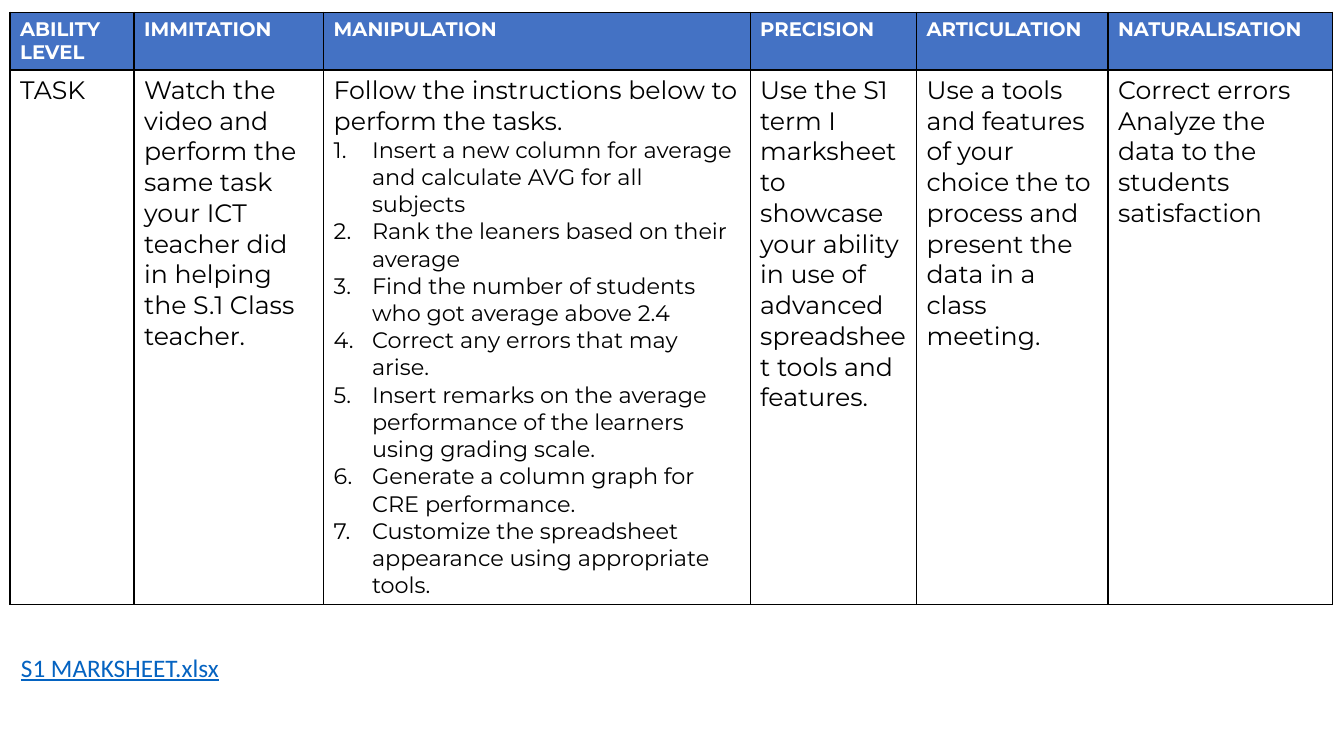
from lxml import etree
from pptx import Presentation
from pptx.dml.color import RGBColor
from pptx.enum import text
from pptx.oxml import ns
from pptx.util import Inches, Pt

BLACK, WHITE, BLUE, LINK = "000000", "FFFFFF", "4472C4", "0563C1"

COLUMNS = [
    (1.23, "ABILITY LEVEL", "TASK"),
    (1.88, "IMMITATION",
     "Watch the video and perform the same task your ICT teacher did in "
     "helping the S.1 Class teacher."),
    (4.23, "MANIPULATION", "Follow the instructions below to perform the tasks."),
    (1.65, "PRECISION",
     "Use the S1 term I marksheet to showcase your ability in use of "
     "advanced spreadsheet tools and features."),
    (1.9, "ARTICULATION",
     "Use a tools and features of your choice the to process and present "
     "the data in a class meeting."),
    (2.23, "NATURALISATION",
     "Correct errors Analyze the data to the students satisfaction"),
]
ROW_HEIGHTS = [0.57, 5.23]
MANIPULATION_COLUMN = 2
INSTRUCTIONS = [
    "Insert a new column for average and calculate AVG for all subjects",
    "Rank the leaners based on their average",
    "Find the number of students who got average above 2.4",
    "Correct any errors that may arise.",
    "Insert remarks on the average performance of the learners using grading scale.",
    "Generate a column graph for CRE performance.",
    "Customize the spreadsheet appearance using appropriate tools.",
]


def color(value):
    """Turn a hex string into a colour."""
    return RGBColor.from_string(value)


def add_child(parent, tag, **attributes):
    """Append a drawing element with its attributes."""
    return etree.SubElement(parent, ns.qn(tag), attributes)


def write(para, words, size=18, font="Montserrat", ink=BLACK, bold=False, underline=False):
    """Add formatted words to a paragraph."""
    span = para.add_run()
    span.text = words
    span.font.size = Pt(size)
    span.font.name = font
    span.font.color.rgb = color(ink)
    span.font.bold = bold
    span.font.underline = underline


def number(para):
    """Number a paragraph with a hanging indent."""
    properties = para._p.get_or_add_pPr()
    properties.set("marL", str(Inches(0.38)))
    properties.set("indent", str(-Inches(0.38)))
    add_child(properties, "a:buFont", typeface="+mj-lt")
    add_child(properties, "a:buAutoNum", type="arabicPeriod")


def format_cell(cell, fill=None):
    """Give a cell thin black borders and an optional fill."""
    properties = cell._tc.get_or_add_tcPr()
    for side in ("a:lnL", "a:lnR", "a:lnT", "a:lnB"):
        line = add_child(properties, side, w=str(Pt(1)))
        add_child(add_child(line, "a:solidFill"), "a:srgbClr", val=BLACK)
    if fill:
        cell.fill.solid()
        cell.fill.fore_color.rgb = color(fill)
    else:
        cell.fill.background()


def add_task_table(page):
    """Add the table of tasks by ability level."""
    frame = page.shapes.add_table(
        len(ROW_HEIGHTS), len(COLUMNS),
        Inches(0.1), Inches(0.12), Inches(13.12), Inches(sum(ROW_HEIGHTS)))
    table = frame.table
    table.horz_banding = False
    for row, height in zip(table.rows, ROW_HEIGHTS):
        row.height = Inches(height)
    for index, (width, level, task) in enumerate(COLUMNS):
        table.columns[index].width = Inches(width)
        header, body = table.cell(0, index), table.cell(1, index)
        format_cell(header, BLUE)
        format_cell(body)
        write(header.text_frame.paragraphs[0], level, size=14, ink=WHITE, bold=True)
        write(body.text_frame.paragraphs[0], task)
    steps = table.cell(1, MANIPULATION_COLUMN).text_frame
    for instruction in INSTRUCTIONS:
        para = steps.add_paragraph()
        number(para)
        write(para, instruction, size=16)


def add_file_label(page):
    """Add the marksheet file name below the table."""
    box = page.shapes.add_textbox(Inches(0.11), Inches(6.42), Inches(2.18), Inches(0.4))
    box.text_frame.word_wrap = False
    box.text_frame.auto_size = text.MSO_AUTO_SIZE.SHAPE_TO_FIT_TEXT
    write(box.text_frame.paragraphs[0], "S1 MARKSHEET.xlsx",
          font="Calibri", ink=LINK, underline=True)


def main():
    """Build and save the slide."""
    deck = Presentation()
    deck.slide_width, deck.slide_height = Inches(13.33), Inches(7.5)
    page = deck.slides.add_slide(deck.slide_layouts.get_by_name("Blank"))
    add_task_table(page)
    add_file_label(page)
    deck.save("out.pptx")


if __name__ == "__main__":
    main()
